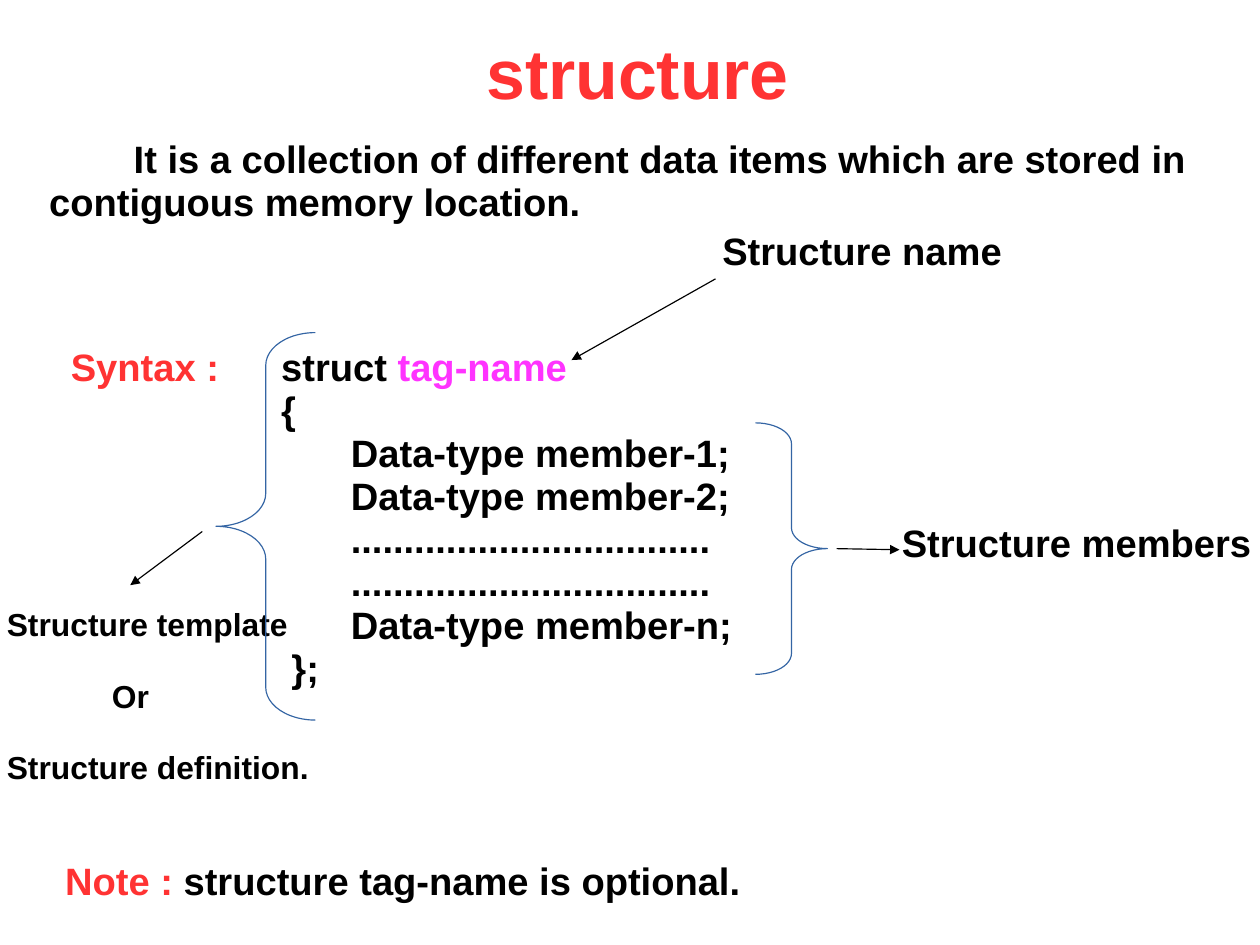
from lxml.etree import SubElement
from pptx import Presentation
from pptx.dml.color import RGBColor
from pptx.enum.shapes import MSO_CONNECTOR, MSO_SHAPE
from pptx.enum.text import MSO_ANCHOR, MSO_AUTO_SIZE, PP_ALIGN
from pptx.oxml.ns import qn
from pptx.util import Inches, Pt

RED = RGBColor(0xFF, 0x33, 0x33)
MAGENTA = RGBColor(0xFF, 0x33, 0xFF)
BLACK = RGBColor(0, 0, 0)
BLUE = RGBColor(0x34, 0x65, 0xA4)
CM_PER_INCH = 2.54

# A line is (runs, left indent in inches); a run is (text, colour).
TITLE = [([("structure", RED)], 0)]
DEFINITION = [([("It is a collection of different data items which are stored in "
                 "contiguous memory location.", BLACK)], 0)]
MEMBERS = ["Data-type member-1;", "Data-type member-2;", "." * 34, "." * 34,
           "Data-type member-n;"]
SYNTAX = [
    ([("struct ", BLACK), ("tag-name", MAGENTA)], 0),
    ([("{", BLACK)], 0),
    *[([(member, BLACK)], 0.61) for member in MEMBERS],
    ([("};", BLACK)], 0.09),
]
TEMPLATE = [
    ([("Structure template", BLACK)], 0),
    ([("Or", BLACK)], 0.92),
    ([("Structure definition.", BLACK)], 0),
]
NOTE = [([("Note : ", RED), ("structure tag-name is optional.", BLACK)], 0)]

# (lines, (left, top, width, height), size, space between lines)
LABELS = [
    ([([("Syntax :", RED)], 0)], (0.62, 3.04, 1.6, 0.4), 24, 0),
    (SYNTAX, (2.46, 3.04, 4.05, 3.05), 24, 0),
    ([([("Structure name", BLACK)], 0)], (6.32, 2.02, 2.6, 0.4), 24, 0),
    ([([("Structure members", BLACK)], 0)], (7.89, 4.58, 3.12, 0.4), 24, 0),
    (TEMPLATE, (0.06, 5.32, 3.1, 1.6), 20, 22.5),
    (NOTE, (0.57, 7.53, 6.1, 0.4), 24, 0),
]
# (preset, (left, top, width, height), curl)
BRACES = [
    (MSO_SHAPE.RIGHT_BRACE, (6.61, 3.7, 0.63, 2.2), 0.29),
    (MSO_SHAPE.LEFT_BRACE, (1.89, 2.91, 0.87, 3.39), 0.33),
]
ARROWS = [
    ((6.26, 2.44), (5, 3.15)),
    ((7.32, 4.8), (7.87, 4.81)),
    ((1.77, 4.65), (1.14, 5.12)),
]


def inches(values):
    return [Inches(value) for value in values]


def write(shape, box, lines, size, gap=0, first_indent=0, align=PP_ALIGN.LEFT):
    """Place the shape and fill it with the lines, unbulleted and without insets."""
    shape.left, shape.top, shape.width, shape.height = inches(box)
    frame = shape.text_frame
    frame.margin_left = frame.margin_top = frame.margin_right = frame.margin_bottom = 0
    frame.word_wrap = True
    frame.auto_size = MSO_AUTO_SIZE.NONE
    frame.vertical_anchor = MSO_ANCHOR.TOP
    for number, (runs, indent) in enumerate(lines):
        paragraph = frame.add_paragraph() if number else frame.paragraphs[0]
        paragraph.alignment = align
        paragraph.line_spacing = 0.94
        paragraph.space_before = Pt(gap if number else 0)
        properties = paragraph._p.get_or_add_pPr()
        properties.set("marL", str(Inches(indent)))
        properties.set("indent", str(Inches(first_indent)))
        SubElement(properties, qn("a:buNone"))
        font = paragraph.font
        font.name, font.size, font.bold = "Arial", Pt(size), True
        font.color.rgb = runs[0][1]
        for text, colour in runs:
            run = paragraph.add_run()
            run.text = text
            if colour != runs[0][1]:
                run.font.color.rgb = colour


def add_brace(slide, preset, box, curl):
    brace = slide.shapes.add_shape(preset, *inches(box))
    brace.adjustments[0] = curl
    brace.shadow.inherit = False
    brace.fill.background()
    brace.line.color.rgb = BLUE
    brace.line.width = Pt(0.75)


def add_arrow(slide, start, end):
    arrow = slide.shapes.add_connector(MSO_CONNECTOR.STRAIGHT, *inches(start + end))
    arrow.line.color.rgb = BLACK
    arrow.line.width = Pt(0.75)
    SubElement(arrow.line._get_or_add_ln(), qn("a:tailEnd"), type="triangle")
    SubElement(arrow._element.spPr, qn("a:effectLst"))


def main():
    deck = Presentation()
    deck.slide_width = Inches(28 / CM_PER_INCH)
    deck.slide_height = Inches(21 / CM_PER_INCH)
    slide = deck.slides.add_slide(deck.slide_layouts[1])
    write(slide.shapes.title, (4.08, 0.32, 3, 0.7), TITLE, 44, align=PP_ALIGN.CENTER)
    write(slide.placeholders[1], (0.43, 1.22, 10.1, 0.8), DEFINITION, 24,
          first_indent=0.74)
    for lines, box, size, gap in LABELS:
        write(slide.shapes.add_textbox(0, 0, 0, 0), box, lines, size, gap)
    for preset, box, curl in BRACES:
        add_brace(slide, preset, box, curl)
    for start, end in ARROWS:
        add_arrow(slide, start, end)
    deck.save("out.pptx")


if __name__ == "__main__":
    main()
